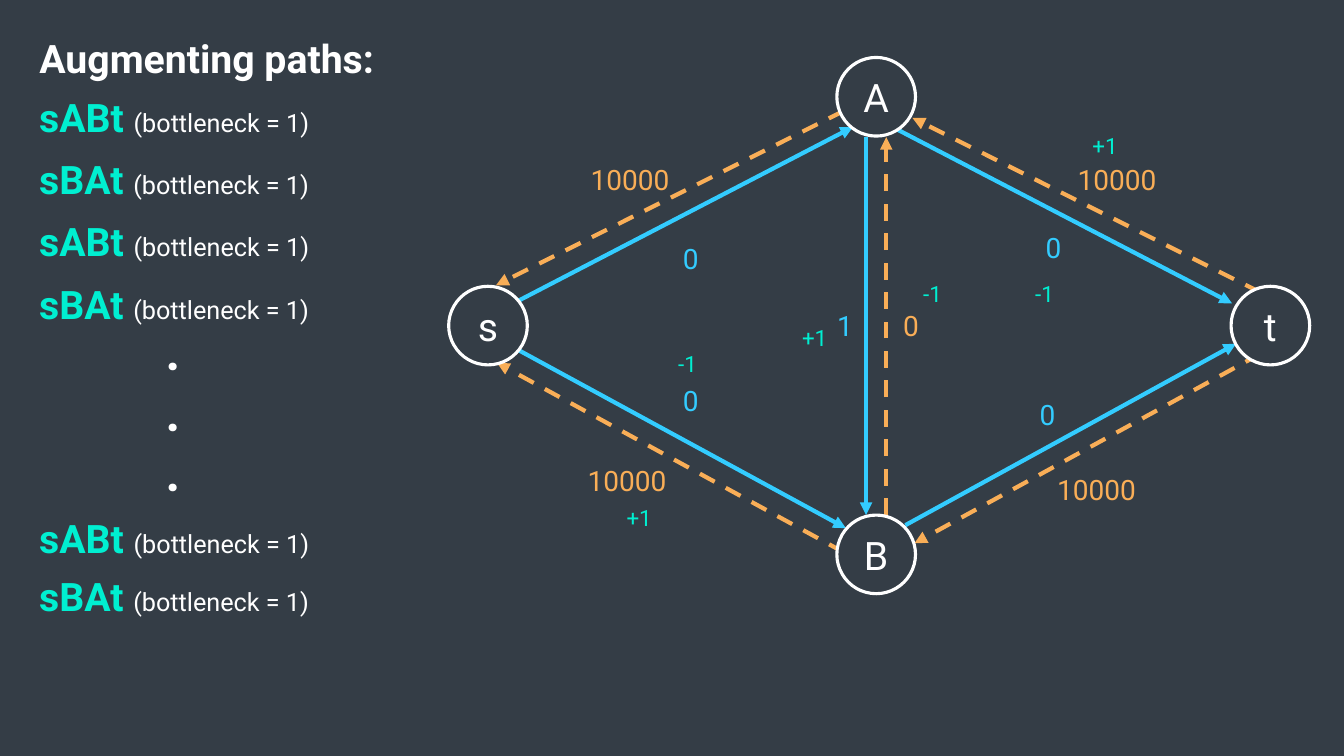
"""Build the slide on augmenting paths in a flow network."""
import pptx
import pptx.util
import pptx.dml.color
import pptx.enum.dml
import pptx.enum.shapes
import pptx.enum.text
import lxml.etree

Inches, Pt = pptx.util.Inches, pptx.util.Pt
ALIGN = pptx.enum.text.PP_ALIGN
ANCHOR = pptx.enum.text.MSO_ANCHOR
DARK, WHITE, BLUE, GOLD, MINT = "343D46", "FFFFFF", "33CCFF", "F9AE57", "00EFD1"


def paint(hue):
    return pptx.dml.color.RGBColor.from_string(hue)


def write(frame, lines, align=ALIGN.CENTER, anchor=ANCHOR.TOP, inset=None):
    frame.word_wrap = True
    frame.auto_size = pptx.enum.text.MSO_AUTO_SIZE.NONE
    frame.vertical_anchor = anchor
    if inset is not None:
        frame.margin_left = frame.margin_right = Inches(inset)
        frame.margin_top = frame.margin_bottom = Inches(inset)
    for i, runs in enumerate(lines):
        para = frame.add_paragraph() if i else frame.paragraphs[0]
        para.alignment = align
        for text, size, hue, bold in runs:
            run = para.add_run()
            run.text = text
            run.font.name = "Roboto"
            run.font.size = Pt(size)
            run.font.bold = bold
            run.font.color.rgb = paint(hue)


deck = pptx.Presentation()
deck.slide_width, deck.slide_height = Inches(13.33), Inches(7.5)
slide = deck.slides.add_slide(deck.slide_layouts[5])
slide.background.fill.solid()
slide.background.fill.fore_color.rgb = paint(DARK)
shapes = slide.shapes

title = shapes.title
title.left, title.top = Inches(0.29), Inches(0.29)
title.width, title.height = Inches(4), Inches(0.57)
write(title.text_frame, [[("Augmenting paths:", 28, WHITE, True)]], ALIGN.LEFT)

edges = [
    (8.89, 1.28, 12.22, 3.01, BLUE), (12.5, 2.9, 9.05, 1.17, GOLD),
    (8.98, 5.21, 12.26, 3.41, BLUE), (12.5, 3.51, 9.07, 5.39, GOLD),
    (8.59, 1.36, 8.59, 5.11, BLUE), (8.79, 5.11, 8.79, 1.36, GOLD),
    (5.13, 2.99, 8.46, 1.26, BLUE), (8.37, 1.1, 4.92, 2.83, GOLD),
    (5.1, 3.45, 8.39, 5.24, BLUE), (8.37, 5.48, 4.93, 3.6, GOLD),
]
for *ends, hue in edges:
    edge = shapes.add_connector(
        pptx.enum.shapes.MSO_CONNECTOR.STRAIGHT, *map(Inches, ends))
    edge.line.color.rgb = paint(hue)
    edge.line.width = Pt(3)
    if hue == GOLD:
        edge.line.dash_style = pptx.enum.dml.MSO_LINE.DASH
    space = "{http://schemas.openxmlformats.org/drawingml/2006/main}"
    props = edge.line._get_or_add_ln()
    lxml.etree.SubElement(props, space + "tailEnd", type="triangle")
    lxml.etree.SubElement(props.getparent(), space + "effectLst")

for name, left, top in [("s", 4.45, 2.84), ("t", 12.21, 2.84),
                        ("B", 8.3, 5.11), ("A", 8.3, 0.57)]:
    node = shapes.add_shape(
        pptx.enum.shapes.MSO_SHAPE.OVAL,
        Inches(left), Inches(top), Inches(0.78), Inches(0.78))
    node.shadow.inherit = False
    node.fill.solid()
    node.fill.fore_color.rgb = paint(DARK)
    node.line.color.rgb = paint(WHITE)
    node.line.width = Pt(2.25)
    write(node.text_frame, [[(name, 28, WHITE, False)]], anchor=ANCHOR.MIDDLE)

flows = [
    ("0", 9.73, 2.29, 1.44, BLUE), ("0", 9.67, 3.94, 1.44, BLUE),
    ("1", 7.66, 3.06, 1.44, BLUE), ("0", 8.69, 3.06, 0.69, GOLD),
    ("10000", 10.43, 1.61, 1.3, GOLD), ("10000", 10.27, 4.69, 1.21, GOLD),
    ("0", 6.13, 2.4, 1.44, BLUE), ("0", 6.13, 3.8, 1.44, BLUE),
    ("10000", 5.65, 1.61, 1.2, GOLD), ("10000", 5.65, 4.6, 1.14, GOLD),
]
for text, left, top, width, hue in flows:
    box = shapes.add_textbox(
        Inches(left), Inches(top), Inches(width), Inches(0.34))
    write(box.text_frame, [[(text, 20, hue, False)]], inset=0)

for i, top in enumerate([0.88, 1.49, 2.11, 2.73, 5.05, 5.63]):
    box = shapes.add_textbox(
        Inches(0.29), Inches(top), Inches(3.6), Inches(0.57))
    route = ("sABt ", "sBAt ")[i % 2]
    write(box.text_frame, [[(route, 28, MINT, True),
                            ("(bottleneck = 1)", 18, WHITE, False)]], ALIGN.LEFT)

dots = shapes.add_textbox(Inches(1.01), Inches(3.13), Inches(1.41), Inches(1.92))
write(dots.text_frame, [[(".", 36, WHITE, True)]] * 3)

for text, left, top in [("+1", 6.06, 4.95), ("-1", 6.54, 3.42), ("+1", 7.8, 3.17),
                        ("-1", 8.97, 2.73), ("-1", 10.08, 2.73), ("+1", 10.68, 1.26)]:
    box = shapes.add_textbox(
        Inches(left), Inches(top), Inches(0.56), Inches(0.37))
    write(box.text_frame, [[(text, 16, MINT, False)]])

deck.save("out.pptx")
